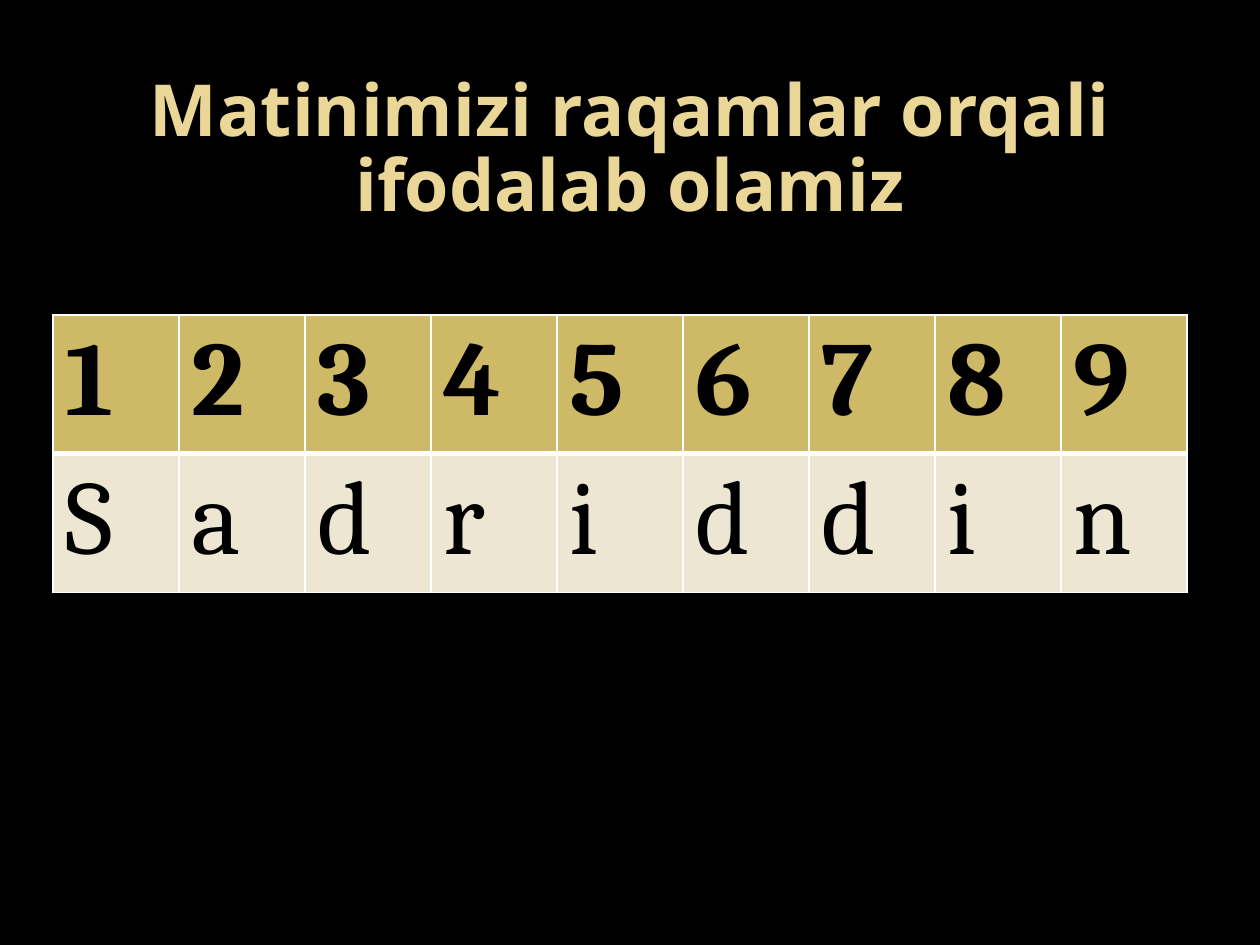
import pptx
import pptx.dml.color
import pptx.enum.text
import pptx.oxml.ns
import pptx.util
from lxml import etree
from pptx.util import Inches

TITLE = "Matinimizi raqamlar orqali ifodalab olamiz"
WORD = "Sadriddin"
ROW_HEIGHT = 1.06


def color(hex_string):
    return pptx.dml.color.RGBColor.from_string(hex_string)


def paint(fill, hex_string):
    fill.solid()
    fill.fore_color.rgb = color(hex_string)


def format_text(paragraph, font_name, size, hex_string, bold):
    for run in paragraph.runs:
        run.font.name = font_name
        run.font.size = pptx.util.Pt(size)
        run.font.bold = bold
        run.font.color.rgb = color(hex_string)


def add_title(slide):
    title = slide.shapes.add_textbox(Inches(0.5), Inches(0.3), Inches(9), Inches(1.7))
    text_frame = title.text_frame
    text_frame.word_wrap = True
    text_frame.vertical_anchor = pptx.enum.text.MSO_ANCHOR.MIDDLE
    text_frame.margin_top = Inches(0.15)
    text_frame.text = TITLE
    paragraph = text_frame.paragraphs[0]
    paragraph.alignment = pptx.enum.text.PP_ALIGN.CENTER
    paragraph.line_spacing = 0.88
    format_text(paragraph, "Noto Sans", 41, "EAD696", True)


def set_borders(cell, widths):
    """Draw white borders; widths maps each side tag to points, in schema order."""
    properties = cell._tc.get_or_add_tcPr()
    for index, (side, width) in enumerate(widths.items()):
        line = etree.Element(pptx.oxml.ns.qn(f"a:{side}"), w=str(pptx.util.Pt(width)))
        fill = etree.SubElement(line, pptx.oxml.ns.qn("a:solidFill"))
        etree.SubElement(fill, pptx.oxml.ns.qn("a:srgbClr"), val="FFFFFF")
        properties.insert(index, line)


def add_letter_table(slide):
    """Number each letter of the word in a header row above it."""
    rows = [
        ([str(number) for number in range(1, len(WORD) + 1)], "CEB966", True,
         {"lnL": 1, "lnR": 1, "lnT": 1, "lnB": 3}),
        (list(WORD), "EDE6D3", False,
         {"lnL": 1, "lnR": 1, "lnT": 3, "lnB": 1}),
    ]
    table = slide.shapes.add_table(
        len(rows), len(WORD), Inches(0.42), Inches(2.5),
        Inches(len(WORD)), Inches(ROW_HEIGHT * len(rows))).table
    for row, (texts, fill, bold, borders) in enumerate(rows):
        for column, text in enumerate(texts):
            cell = table.cell(row, column)
            cell.text = text
            format_text(cell.text_frame.paragraphs[0], "Cambria", 60, "000000", bold)
            paint(cell.fill, fill)
            set_borders(cell, borders)


def main():
    presentation = pptx.Presentation()
    presentation.slide_width = Inches(10)
    presentation.slide_height = Inches(7.5)
    slide = presentation.slides.add_slide(presentation.slide_layouts[6])
    paint(slide.background.fill, "000000")
    add_title(slide)
    add_letter_table(slide)
    presentation.save("out.pptx")


if __name__ == "__main__":
    main()
